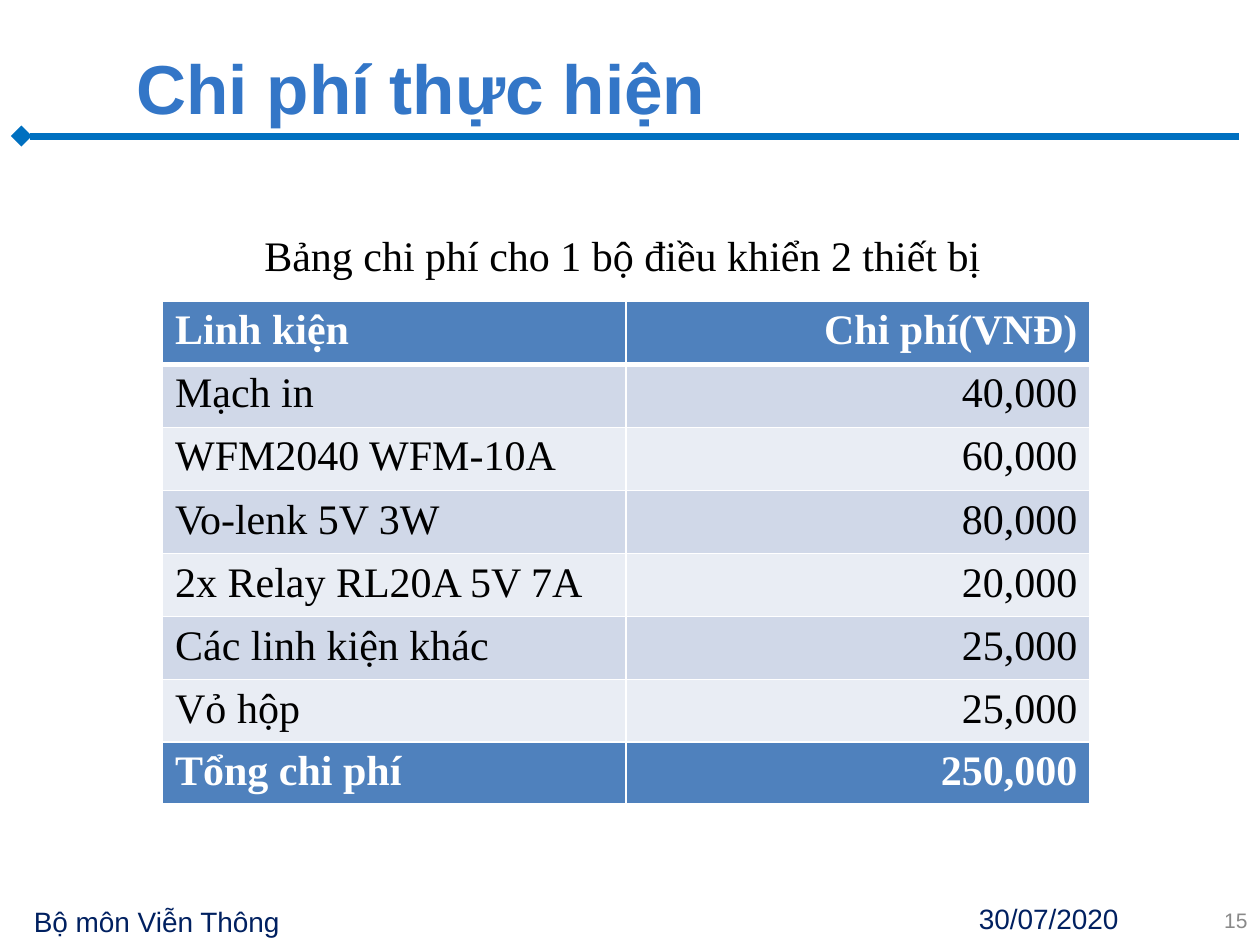
from dataclasses import dataclass

import pptx
import pptx.dml.color
import pptx.enum.shapes
import pptx.enum.text
import pptx.oxml
import pptx.oxml.ns
import pptx.util
from lxml import etree

Inches = pptx.util.Inches
Align = pptx.enum.text.PP_ALIGN
Anchor = pptx.enum.text.MSO_ANCHOR


@dataclass(frozen=True)
class Theme:
    sans: str = "Arial"
    serif: str = "Times New Roman"
    title: str = "3376C7"
    rule: str = "0070C0"
    navy: str = "002060"
    grey: str = "898989"
    black: str = "000000"
    white: str = "FFFFFF"
    head: str = "4F81BD"
    bands: tuple = ("D0D8E8", "E9EDF4")
    title_size: float = 39.6
    body_size: float = 24
    foot_size: float = 16
    page_size: float = 12


@dataclass(frozen=True)
class Box:
    left: float
    top: float
    width: float
    height: float

    def emu(self) -> tuple:
        return tuple(Inches(n) for n in (self.left, self.top, self.width, self.height))


@dataclass(frozen=True)
class Row:
    item: str
    cost: str
    fill: str
    strong: bool = False  # bold white text and a heavy lower edge


THEME = Theme()
ROW_H = 0.5
GRID = Box(1.29, 2.39, 7.36, ROW_H)

PARTS = (
    ("Mạch in", "40,000"),
    ("WFM2040 WFM-10A", "60,000"),
    ("Vo-lenk 5V 3W", "80,000"),
    ("2x Relay RL20A 5V 7A", "20,000"),
    ("Các linh kiện khác", "25,000"),
    ("Vỏ hộp", "25,000"),
)


def rgb(code: str):
    return pptx.dml.color.RGBColor.from_string(code)


def put_text(frame, text: str, *, size: float, color: str, font: str = THEME.sans,
             bold: bool = False, align=Align.LEFT, anchor=None, wrap: bool = True) -> None:
    """Write one formatted line of text into a text frame."""
    frame.word_wrap = wrap
    if anchor is not None:
        frame.vertical_anchor = anchor
    line = frame.paragraphs[0]
    line.alignment = align
    run = line.add_run()
    run.text = text
    run.font.name = font
    run.font.size = pptx.util.Pt(size)
    run.font.bold = bold
    run.font.color.rgb = rgb(color)


def add_label(slide, box: Box, text: str, **form) -> None:
    put_text(slide.shapes.add_textbox(*box.emu()).text_frame, text, **form)


def add_edge(cell, side: str, width: float) -> None:
    """Draw one white cell border; width is in points."""
    props = cell._tc.get_or_add_tcPr()
    edge = etree.SubElement(props, pptx.oxml.ns.qn(f"a:ln{side}"), w=str(pptx.util.Pt(width)))
    fill = etree.SubElement(edge, pptx.oxml.ns.qn("a:solidFill"))
    etree.SubElement(fill, pptx.oxml.ns.qn("a:srgbClr"), val=THEME.white)


def add_grid(slide, top: float, rows: list[Row]) -> None:
    """Draw a two-column cost table."""
    box = Box(GRID.left, top, GRID.width, ROW_H * len(rows))
    table = slide.shapes.add_table(len(rows), 2, *box.emu()).table
    table.horz_banding = False
    for y, row in enumerate(rows):
        table.rows[y].height = Inches(ROW_H)
        for x, (text, align) in enumerate(((row.item, Align.LEFT), (row.cost, Align.RIGHT))):
            cell = table.cell(y, x)
            add_edge(cell, "L", 1)
            add_edge(cell, "R", 1)
            if y == 0:
                add_edge(cell, "T", 1)
            add_edge(cell, "B", 3 if row.strong else 1)
            cell.fill.solid()
            cell.fill.fore_color.rgb = rgb(row.fill)
            put_text(cell.text_frame, text, size=THEME.body_size, font=THEME.serif,
                     color=THEME.white if row.strong else THEME.black,
                     bold=row.strong, align=align)


def add_rule(slide) -> None:
    """Draw the line under the title, with a diamond at its left end."""
    kind = pptx.enum.shapes.MSO_CONNECTOR.STRAIGHT
    rule = slide.shapes.add_connector(kind, Inches(0.17), Inches(1.08), Inches(9.83), Inches(1.08))
    rule.line.color.rgb = rgb(THEME.rule)
    rule.line.width = pptx.util.Pt(4)
    etree.SubElement(rule.line._get_or_add_ln(), pptx.oxml.ns.qn("a:headEnd"), type="diamond")
    etree.SubElement(rule._element.spPr, pptx.oxml.ns.qn("a:effectLst"))


def main() -> None:
    deck = pptx.Presentation()
    deck.slide_width, deck.slide_height = Inches(10), Inches(7.5)
    slide = deck.slides.add_slide(deck.slide_layouts[5])

    # Title and rule
    title = slide.shapes.title
    title.left, title.top, title.width, title.height = Box(0.98, 0.32, 8.36, 0.74).emu()
    put_text(title.text_frame, "Chi phí thực hiện", size=THEME.title_size,
             color=THEME.title, bold=True, anchor=Anchor.MIDDLE)
    add_rule(slide)

    # Footer
    foot = dict(size=THEME.foot_size, color=THEME.navy)
    add_label(slide, Box(0.17, 7.13, 3.42, 0.37), "Bộ môn Viễn Thông", **foot)
    add_label(slide, Box(7.67, 7.11, 2.33, 0.37), "30/07/2020", **foot)
    add_label(slide, Box(7.67, 7.1, 2.33, 0.4), "15", size=THEME.page_size,
              color=THEME.grey, align=Align.RIGHT, anchor=Anchor.MIDDLE)

    # Cost table, with the total directly below
    rows = [Row("Linh kiện", "Chi phí(VNĐ)", THEME.head, True)]
    rows += [Row(*part, THEME.bands[n % 2]) for n, part in enumerate(PARTS)]
    add_grid(slide, GRID.top, rows)
    add_grid(slide, GRID.top + ROW_H * len(rows),
             [Row("Tổng chi phí", "250,000", THEME.head, True)])

    # Table caption
    add_label(slide, Box(2, 1.77, 5.93, 0.51), "Bảng chi phí cho 1 bộ điều khiển 2 thiết bị",
              size=THEME.body_size, font=THEME.serif, color=THEME.black, wrap=False)

    deck.save("out.pptx")


if __name__ == "__main__":
    main()
